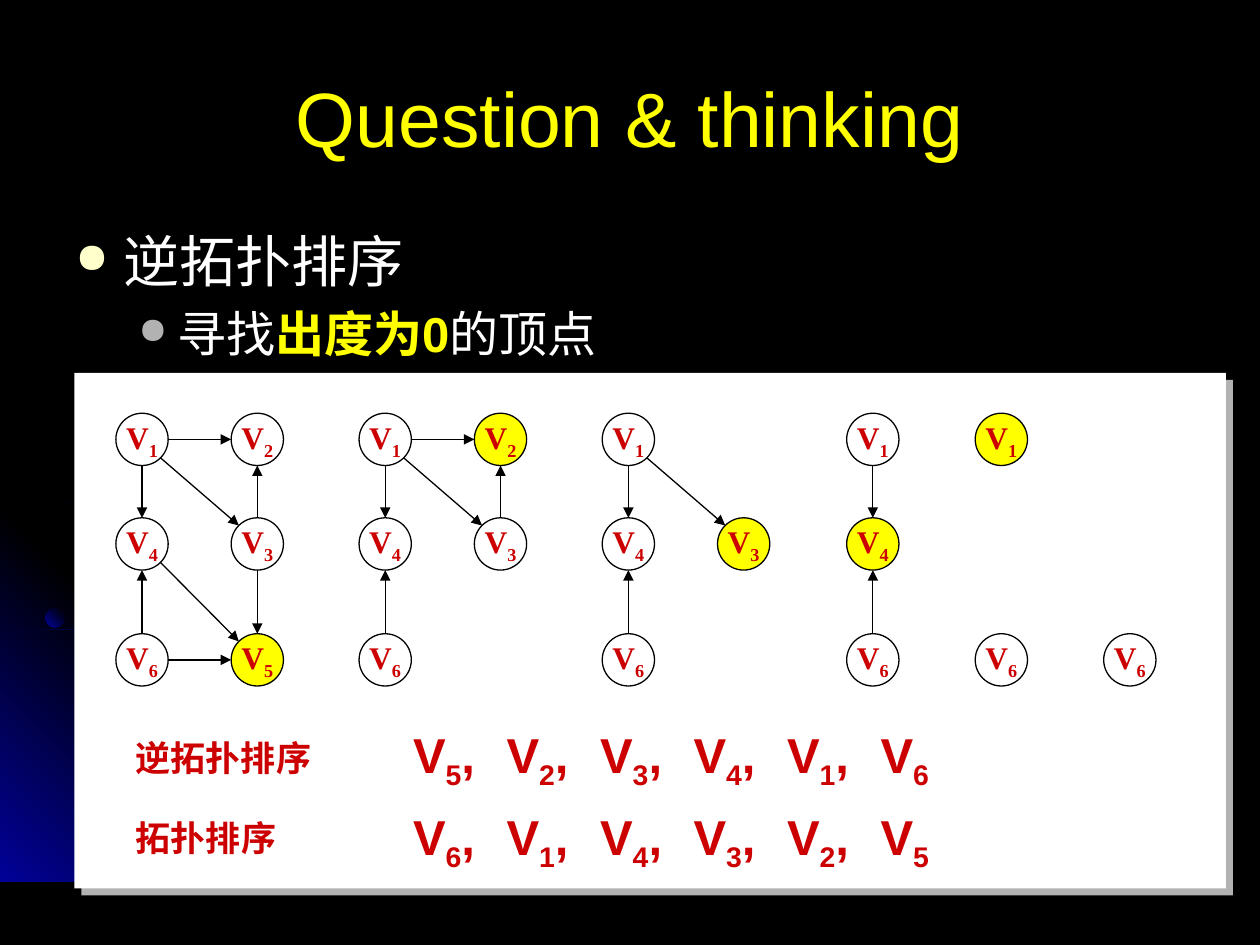
import math
from dataclasses import dataclass

import lxml.etree
import pptx
import pptx.dml.color
import pptx.enum.shapes
import pptx.enum.text
import pptx.oxml
import pptx.oxml.ns
import pptx.util

Inches, Pt, qn = pptx.util.Inches, pptx.util.Pt, pptx.oxml.ns.qn
SHAPE = pptx.enum.shapes.MSO_SHAPE
ALIGN = pptx.enum.text.PP_ALIGN
ANCHOR = pptx.enum.text.MSO_ANCHOR


@dataclass(frozen=True)
class Theme:
    black: str = "000000"
    white: str = "FFFFFF"
    yellow: str = "FFFF00"
    red: str = "CC0000"
    navy: str = "010199"
    gray: str = "B2B2B2"
    cream: str = "FFFFCC"
    sans: str = "Arial"
    serif: str = "Times New Roman"
    title: int = 44
    topic: int = 32
    hint: int = 28
    order: int = 28
    label: int = 20
    vertex: int = 18


THEME = Theme()

TITLE = "Question & thinking"
# text runs as (text, emphasised); indent in inches, hanging in inches
BULLETS = [
    ([("逆拓扑排序", False)], THEME.topic, THEME.cream, 0.38, 0.38),
    ([("寻找", False), ("出度为0", True), ("的顶点", False)], THEME.hint, THEME.gray, 0.81, 0.31),
]
# Vertex number -> (column, row) in every graph
CELLS = {1: (0, 0), 2: (1, 0), 4: (0, 1), 3: (1, 1), 6: (0, 2), 5: (1, 2)}
EDGES = [(1, 2), (1, 4), (1, 3), (4, 5), (3, 2), (6, 4), (6, 5), (3, 5)]
REMOVAL_ORDER = [5, 2, 3, 4, 1, 6]
GRAPH_LEFTS = [0.92, 2.85, 4.78, 6.72, 7.74, 8.76]
ROW_TOPS = [3.28, 4.11, 5.03]
COLUMN_STEP = 0.915
DIAMETER = 0.415
# label, its top and width, top of its sequence, sequence
ORDERS = [
    ("逆拓扑排序", 5.8, 1.6, 5.7, REMOVAL_ORDER),
    ("拓扑排序", 6.43, 1.32, 6.35, REMOVAL_ORDER[::-1]),
]
ORDER_LEFT, ORDER_STEP = 3.18, 0.742

CORNER = [(3.22, 7.49), (0, 7.49), (0, 4.27)]
STREAKS = [
    [(0, 4.35), (0.57, 4.47), (0.98, 4.59), (1.36, 4.77), (1.74, 4.97), (2.09, 5.21), (2.42, 5.48),
     (2.72, 5.78), (3, 6.11), (3.25, 6.48), (3.39, 6.73), (3.52, 6.98), (3.62, 7.23), (3.72, 7.49)],
    [(0, 4.75), (0.41, 4.88), (0.79, 5.05), (1.17, 5.26), (1.52, 5.49), (1.84, 5.76), (2.15, 6.06),
     (2.42, 6.4), (2.66, 6.76), (2.86, 7.12), (2.96, 7.3), (3.03, 7.49)],
    [(0, 4.42), (0.39, 4.55), (0.76, 4.73), (1.11, 4.93), (1.44, 5.16), (1.75, 5.43), (2.04, 5.73),
     (2.29, 6.03), (2.54, 6.39), (2.69, 6.65), (2.82, 6.93), (2.94, 7.2), (3.03, 7.49)],
]


def rgb(color):
    return pptx.dml.color.RGBColor.from_string(color)


def add_xml(parent, tag, **attributes):
    child = lxml.etree.SubElement(parent, qn(tag))
    for name, value in attributes.items():
        child.set(name, str(value))
    return child


def fill_gradient(shape, colors, angle):
    """Spread the colours evenly along a clockwise angle in degrees."""
    shape.fill.background()
    no_fill = shape._element.spPr.find(qn("a:noFill"))
    gradient = pptx.oxml.parse_xml(
        '<a:gradFill xmlns:a="http://schemas.openxmlformats.org/drawingml/2006/main"/>')
    stops = add_xml(gradient, "a:gsLst")
    for i, color in enumerate(colors):
        stop = add_xml(stops, "a:gs", pos=100000 * i // (len(colors) - 1))
        add_xml(stop, "a:srgbClr", val=color)
    add_xml(gradient, "a:lin", ang=angle * 60000, scaled=1)
    no_fill.getparent().replace(no_fill, gradient)
    shape.line.fill.background()
    shape.shadow.inherit = False


def add_run(paragraph, text, size, color, font=THEME.sans, bold=False, subscript=False):
    run = paragraph.add_run()
    run.text = text
    run.font.size, run.font.bold, run.font.name = Pt(size), bold, font
    run.font.color.rgb = rgb(color)
    if subscript:
        run.font._element.set("baseline", "-25000")


def add_vertex_name(paragraph, number, size, font):
    add_run(paragraph, "V", size, THEME.red, font, True)
    add_run(paragraph, str(number), size, THEME.red, font, True, True)


def add_text_box(slide, left, top, width, height, wrap=False):
    box = slide.shapes.add_textbox(Inches(left), Inches(top), Inches(width), Inches(height))
    box.text_frame.word_wrap = wrap
    return box.text_frame


def add_polygon(slide, points):
    builder = slide.shapes.build_freeform(*points[0], scale=float(Inches(1)))
    builder.add_line_segments(points[1:], close=True)
    return builder.convert_to_shape()


def draw_backdrop(slide):
    slide.background.fill.solid()
    slide.background.fill.fore_color.rgb = rgb(THEME.black)
    fill_gradient(add_polygon(slide, CORNER), [THEME.navy, THEME.black, THEME.navy], 315)
    for upper in STREAKS:
        lower = [(max(x - 0.01, 0), min(y + 0.02, 7.49)) for x, y in reversed(upper)]
        fill_gradient(add_polygon(slide, upper + lower), [THEME.black, THEME.navy, THEME.black], 45)
    dot = slide.shapes.add_shape(SHAPE.OVAL, Inches(0.36), Inches(4.83), Inches(0.15), Inches(0.15))
    fill_gradient(dot, [THEME.navy, THEME.black], 315)


def draw_headings(slide):
    title = add_text_box(slide, 0.5, 0.3, 9, 1.25, True)
    title.vertical_anchor = ANCHOR.MIDDLE
    title.paragraphs[0].alignment = ALIGN.CENTER
    add_run(title.paragraphs[0], TITLE, THEME.title, THEME.yellow)

    body = add_text_box(slide, 0.5, 1.75, 9, 4.95, True)
    for i, (runs, size, bullet_color, indent, hanging) in enumerate(BULLETS):
        paragraph = body.add_paragraph() if i else body.paragraphs[0]
        paragraph.level = i
        paragraph.space_before = Pt(size * 0.2)
        properties = paragraph._p.get_or_add_pPr()
        properties.set("marL", str(Inches(indent)))
        properties.set("indent", str(-Inches(hanging)))
        add_xml(add_xml(properties, "a:buClr"), "a:srgbClr", val=bullet_color)
        add_xml(properties, "a:buSzPct", val=75000)
        add_xml(properties, "a:buChar", char="●")
        for text, strong in runs:
            add_run(paragraph, text, size, THEME.yellow if strong else THEME.white, bold=strong)


def draw_panel(slide):
    panel = slide.shapes.add_shape(SHAPE.RECTANGLE, Inches(0.59), Inches(2.96), Inches(9.14), Inches(4.09))
    panel.fill.solid()
    panel.fill.fore_color.rgb = rgb(THEME.white)
    panel.line.fill.background()
    panel.shadow.inherit = False
    effects = panel._element.spPr.find(qn("a:effectLst"))
    shadow = add_xml(effects, "a:outerShdw", dist=Pt(5.7), dir=45 * 60000, algn="ctr", rotWithShape=0)
    add_xml(shadow, "a:srgbClr", val=THEME.gray)


def draw_vertex(slide, number, left, top, is_next):
    circle = slide.shapes.add_shape(SHAPE.OVAL, Inches(left), Inches(top), Inches(DIAMETER), Inches(DIAMETER))
    circle.fill.solid()
    circle.fill.fore_color.rgb = rgb(THEME.yellow if is_next else THEME.white)
    circle.line.color.rgb, circle.line.width = rgb(THEME.black), Pt(0.75)
    circle.shadow.inherit = False
    frame = circle.text_frame
    frame.word_wrap, frame.vertical_anchor = False, ANCHOR.MIDDLE
    frame.paragraphs[0].alignment = ALIGN.CENTER
    add_vertex_name(frame.paragraphs[0], number, THEME.vertex, THEME.serif)


def draw_edge(slide, start, end):
    """Join two circle corners, given top left, at multiples of 45 degrees on the rims."""
    signs = [(b > a) - (b < a) for a, b in zip(start, end)]
    reach = DIAMETER / 2 / math.hypot(*signs)
    tail = [a + DIAMETER / 2 + s * reach for a, s in zip(start, signs)]
    head = [b + DIAMETER / 2 - s * reach for b, s in zip(end, signs)]
    arrow = slide.shapes.add_connector(pptx.enum.shapes.MSO_CONNECTOR.STRAIGHT, *map(Inches, tail + head))
    arrow.line.color.rgb, arrow.line.width = rgb(THEME.black), Pt(0.75)
    add_xml(arrow.line._get_or_add_ln(), "a:tailEnd", type="triangle")
    add_xml(arrow._element.spPr, "a:effectLst")


def draw_graphs(slide):
    for step, graph_left in enumerate(GRAPH_LEFTS):
        remaining = REMOVAL_ORDER[step:]
        corners = {number: (graph_left + column * COLUMN_STEP, ROW_TOPS[row])
                   for number, (column, row) in CELLS.items() if number in remaining}
        for number, corner in corners.items():
            draw_vertex(slide, number, *corner, number == remaining[0] and len(remaining) > 1)
        for start, end in EDGES:
            if start in corners and end in corners:
                draw_edge(slide, corners[start], corners[end])


def draw_orders(slide):
    for label, label_top, label_width, top, sequence in ORDERS:
        caption = add_text_box(slide, 0.98, label_top, label_width, 0.43)
        add_run(caption.paragraphs[0], label, THEME.label, THEME.red, bold=True)
        for i, number in enumerate(sequence):
            is_last = i == len(sequence) - 1
            entry = add_text_box(slide, ORDER_LEFT + i * ORDER_STEP, top, 0.61 if is_last else 0.82, 0.57)
            add_vertex_name(entry.paragraphs[0], number, THEME.order, THEME.sans)
            if not is_last:
                add_run(entry.paragraphs[0], ",", THEME.order, THEME.red, bold=True)


def main():
    deck = pptx.Presentation()
    deck.slide_width, deck.slide_height = Inches(10), Inches(7.5)
    slide = deck.slides.add_slide(deck.slide_layouts[6])
    for draw in (draw_backdrop, draw_headings, draw_panel, draw_graphs, draw_orders):
        draw(slide)
    deck.save("out.pptx")


if __name__ == "__main__":
    main()
